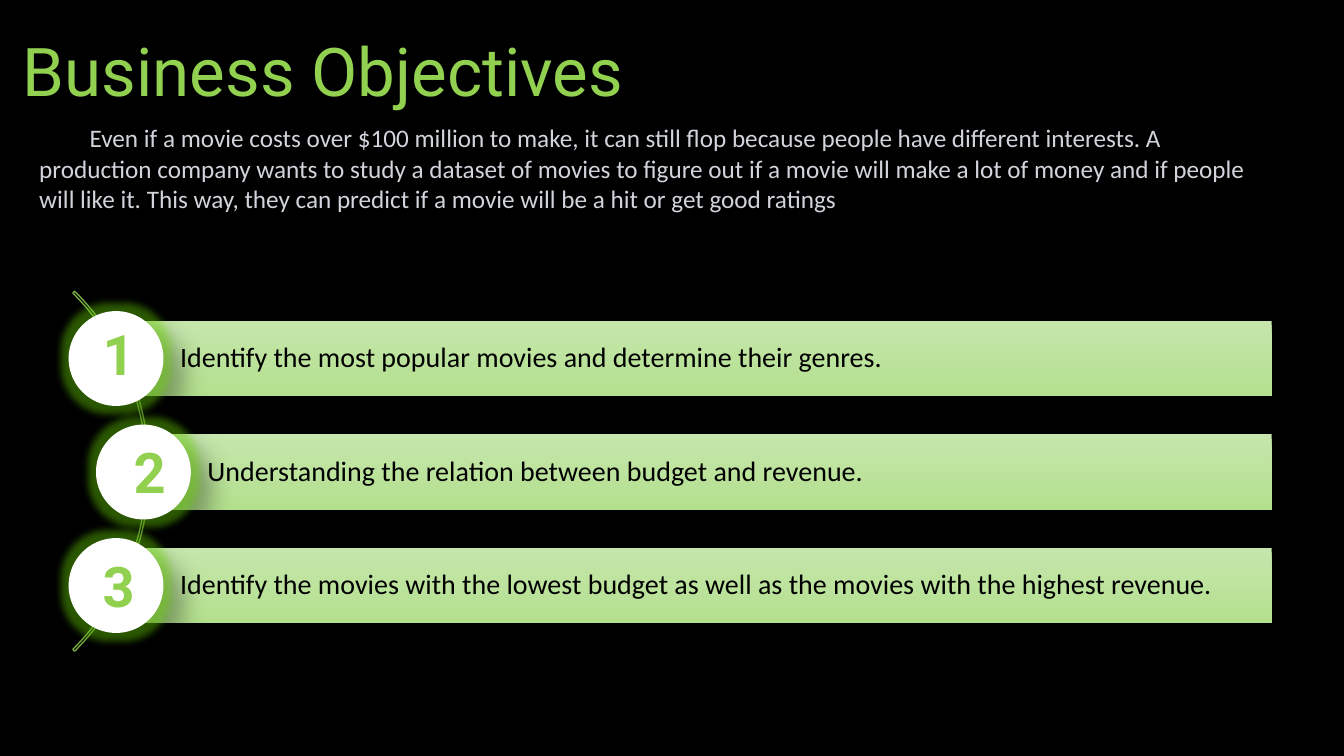
import pptx
import pptx.util
import pptx.dml.color
import pptx.enum.shapes
import pptx.enum.text
import pptx.oxml
import pptx.oxml.ns

Cm, Pt = pptx.util.Cm, pptx.util.Pt
SHAPE = pptx.enum.shapes.MSO_SHAPE
ANCHOR = pptx.enum.text.MSO_ANCHOR
ALIGN = pptx.enum.text.PP_ALIGN

COLOURS = {
    "background": "000000",
    "accent": "92D050",
    "intro": "D1D5DB",
    "arc": "75A740",
    "bar_top": "C6E6AD",
    "bar_bottom": "B3E08D",
    "bar_text": "000000",
    "circle": "FFFFFF",
    "glow": "6BDB00",
    "shadow": "000000",
}


def colour(name):
    return pptx.dml.color.RGBColor.from_string(COLOURS[name])


def write(shape, text, font, size, ink, bold=False, para_format={}, frame_format={}):
    frame = shape.text_frame
    frame.word_wrap = True
    for key, value in frame_format.items():
        setattr(frame, key, value)
    para = frame.paragraphs[0]
    for key, value in para_format.items():
        setattr(para, key, value)
    span = para.add_run()
    span.text = text
    for key, value in {"name": font, "size": Pt(size), "bold": bold}.items():
        setattr(span.font, key, value)
    span.font.color.rgb = colour(ink)


deck = pptx.Presentation()
deck.slide_width, deck.slide_height = Cm(33.87), Cm(19.05)
page = deck.slides.add_slide(deck.slide_layouts[6])
page.background.fill.solid()
page.background.fill.fore_color.rgb = colour("background")

# Title and introduction
title = page.shapes.add_textbox(Cm(0.33), Cm(0.74), Cm(19), Cm(2.18))
write(title, "Business Objectives", "Roboto", 48, "accent",
      para_format={"line_spacing": 0.9},
      frame_format={"vertical_anchor": ANCHOR.BOTTOM})

intro = page.shapes.add_textbox(Cm(0.74), Cm(2.97), Cm(31.39), Cm(2.57))
write(intro, "\tEven if a movie costs over $100 million to make, it can still flop "
      "because people have different interests. A production company wants to study "
      "a dataset of movies to figure out if a movie will make a lot of money and if "
      "people will like it. This way, they can predict if a movie will be a hit or "
      "get good ratings", "Calibri", 18, "intro")

# Arc behind the objectives
arc = page.shapes.add_shape(SHAPE.BLOCK_ARC, Cm(-9.07), Cm(5.46), Cm(12.83), Cm(12.83))
for index, value in enumerate((189, 27, 0.005)):
    arc.adjustments[index] = value
arc.shadow.inherit = False
arc.fill.background()
arc.line.color.rgb = colour("arc")
arc.line.width = Pt(1)

# Objectives: bar left, number left, number top, wording
objectives = [
    (3.02, 2.34, 7.92, "Identify the most popular movies and determine their genres."),
    (3.71, 3.12, 10.9, "Understanding the relation between budget and revenue."),
    (3.02, 2.34, 13.77, "Identify the movies with the lowest budget as well as the "
                        "movies with the highest revenue."),
]
FIRST_TOP, PITCH, BAR_RIGHT, BAR_HEIGHT, DIAMETER = 8.08, 2.86, 32.05, 1.91, 2.39
EFFECTS = (
    f'<a:effectLst {pptx.oxml.ns.nsdecls("a")}>'
    f'<a:glow rad="139700"><a:srgbClr val="{COLOURS["glow"]}">'
    '<a:alpha val="40000"/></a:srgbClr></a:glow>'
    '<a:outerShdw blurRad="190500" dist="228600" dir="2700000" algn="ctr">'
    f'<a:srgbClr val="{COLOURS["shadow"]}"><a:alpha val="30000"/></a:srgbClr>'
    '</a:outerShdw></a:effectLst>'
)

for row, (left, _, _, wording) in enumerate(objectives):
    top = FIRST_TOP + row * PITCH
    bar = page.shapes.add_shape(SHAPE.RECTANGLE, Cm(left), Cm(top),
                                Cm(BAR_RIGHT - left), Cm(BAR_HEIGHT))
    bar.shadow.inherit = False
    bar.line.fill.background()
    bar.fill.gradient()
    bar.fill.gradient_angle = 270
    for stop, name in zip(bar.fill.gradient_stops, ("bar_top", "bar_bottom")):
        stop.color.rgb = colour(name)
    write(bar, wording, "Calibri", 20, "bar_text",
          para_format={"alignment": ALIGN.LEFT, "line_spacing": 0.9},
          frame_format={"vertical_anchor": ANCHOR.MIDDLE, "margin_left": Cm(1.52),
                        "margin_right": Cm(0.15), "margin_top": Cm(0.15),
                        "margin_bottom": Cm(0.15)})

    circle = page.shapes.add_shape(
        SHAPE.OVAL, Cm(left - 1.29), Cm(top + (BAR_HEIGHT - DIAMETER) / 2),
        Cm(DIAMETER), Cm(DIAMETER))
    circle.fill.solid()
    circle.fill.fore_color.rgb = colour("circle")
    circle.line.fill.background()
    circle._element.spPr.append(pptx.oxml.parse_xml(EFFECTS))

# Numbers on the circles
for number, (_, left, top, _) in enumerate(objectives, start=1):
    box = page.shapes.add_textbox(Cm(left), Cm(top), Cm(0.99), Cm(1.96))
    write(box, str(number), "Roboto", 40, "accent", bold=True,
          para_format={"alignment": ALIGN.CENTER})

deck.save("out.pptx")
